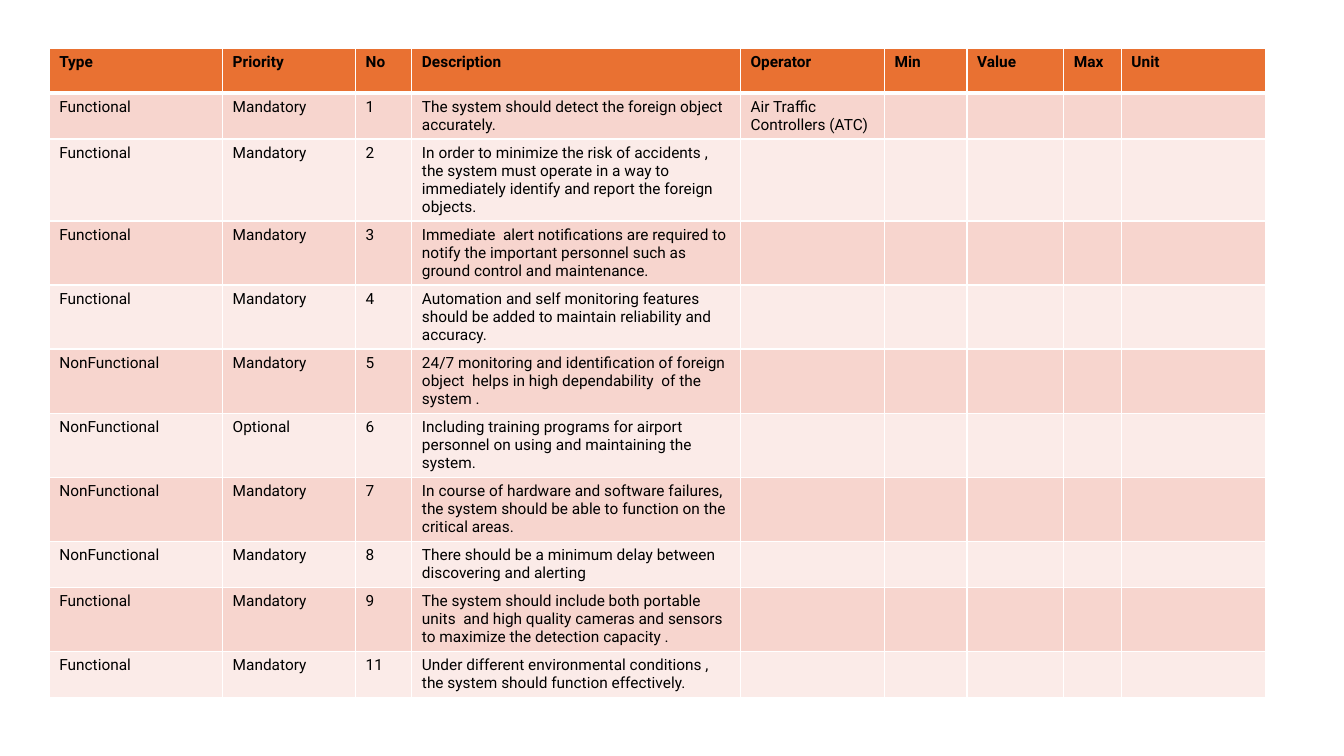
from itertools import product

from lxml.etree import SubElement
from pptx import Presentation
from pptx.dml.color import RGBColor as RGB
from pptx.oxml.ns import qn
from pptx.util import Cm, Pt

HEADERS = ["Type", "Priority", "No", "Description", "Operator",
           "Min", "Value", "Max", "Unit"]
REQUIREMENTS = [
    ("Functional", "Mandatory", "1",
     "The system should detect the foreign object accurately.",
     "Air Traffic Controllers (ATC)"),
    ("Functional", "Mandatory", "2",
     "In order to minimize the risk of accidents , the system must operate in "
     "a way to immediately identify and report the foreign objects."),
    ("Functional", "Mandatory", "3",
     "Immediate  alert notifications are required to notify the important "
     "personnel such as ground control and maintenance."),
    ("Functional", "Mandatory", "4",
     "Automation and self monitoring features should be added to maintain "
     "reliability and accuracy."),
    ("NonFunctional", "Mandatory", "5",
     "24/7 monitoring and identification of foreign object  helps in high "
     "dependability  of the system ."),
    ("NonFunctional", "Optional", "6",
     "Including training programs for airport personnel on using and "
     "maintaining the system."),
    ("NonFunctional", "Mandatory", "7",
     "In course of hardware and software failures, the system should be able "
     "to function on the critical areas."),
    ("NonFunctional", "Mandatory", "8",
     "There should be a minimum delay between  discovering and alerting"),
    ("Functional", "Mandatory", "9",
     "The system should include both portable units  and high quality cameras "
     "and sensors to maximize the detection capacity ."),
    ("Functional", "Mandatory", "11",
     "Under different environmental conditions , the system should function "
     "effectively."),
]

THEME = {
    "font": {"name": "Roboto", "size": Pt(11)},
    "text": RGB.from_string("000000"),
    "header": RGB.from_string("E97132"),
    "bands": [RGB.from_string("F7D5CE"), RGB.from_string("FBEBE8")],
    "border": "FFFFFF",
    "thin": Pt(1),
    "thick": Pt(3),
}

SLIDE_SIZE = Cm(33.87), Cm(19.05)
LEFT, TOP, HEIGHT = Cm(1.24), Cm(1.22), Cm(16.61)
COL_WIDTHS = [4.37, 3.35, 1.42, 8.28, 3.63, 2.08, 2.44, 1.45, 3.63]
ROW_HEIGHT = 1.12
TALL_ROWS = {2: 2.01}


def set_borders(cell, row):
    """Draw all four edges, with a thick rule under the header row."""
    thick_edge = {0: "lnB", 1: "lnT"}.get(row)
    tc_pr = cell._tc.get_or_add_tcPr()
    for edge in ("lnL", "lnR", "lnT", "lnB"):
        width = THEME["thick" if edge == thick_edge else "thin"]
        ln = SubElement(tc_pr, qn(f"a:{edge}"), w=str(width))
        fill = SubElement(ln, qn("a:solidFill"))
        SubElement(fill, qn("a:srgbClr"), val=THEME["border"])


def set_text(cell, text, bold):
    r = cell.text_frame.paragraphs[0].add_run()
    r.text = text
    for name, value in {**THEME["font"], "bold": bold}.items():
        setattr(r.font, name, value)
    r.font.color.rgb = THEME["text"]


def add_requirements(s):
    rows = [HEADERS, *REQUIREMENTS]
    frame = s.shapes.add_table(len(rows), len(HEADERS), LEFT, TOP,
                               Cm(sum(COL_WIDTHS)), HEIGHT)
    table = frame.table
    for col, width in zip(table.columns, COL_WIDTHS):
        col.width = Cm(width)
    for i, row in enumerate(table.rows):
        row.height = Cm(TALL_ROWS.get(i, ROW_HEIGHT))
    frame.height = HEIGHT

    for i, j in product(range(len(rows)), range(len(HEADERS))):
        cell = table.cell(i, j)
        set_borders(cell, i)
        cell.fill.solid()
        cell.fill.fore_color.rgb = THEME["bands"][(i - 1) % 2] if i else THEME["header"]
        if j < len(rows[i]):
            set_text(cell, rows[i][j], bold=i == 0)


def main():
    prs = Presentation()
    prs.slide_width, prs.slide_height = SLIDE_SIZE
    add_requirements(prs.slides.add_slide(prs.slide_layouts[6]))
    prs.save("out.pptx")


if __name__ == "__main__":
    main()
